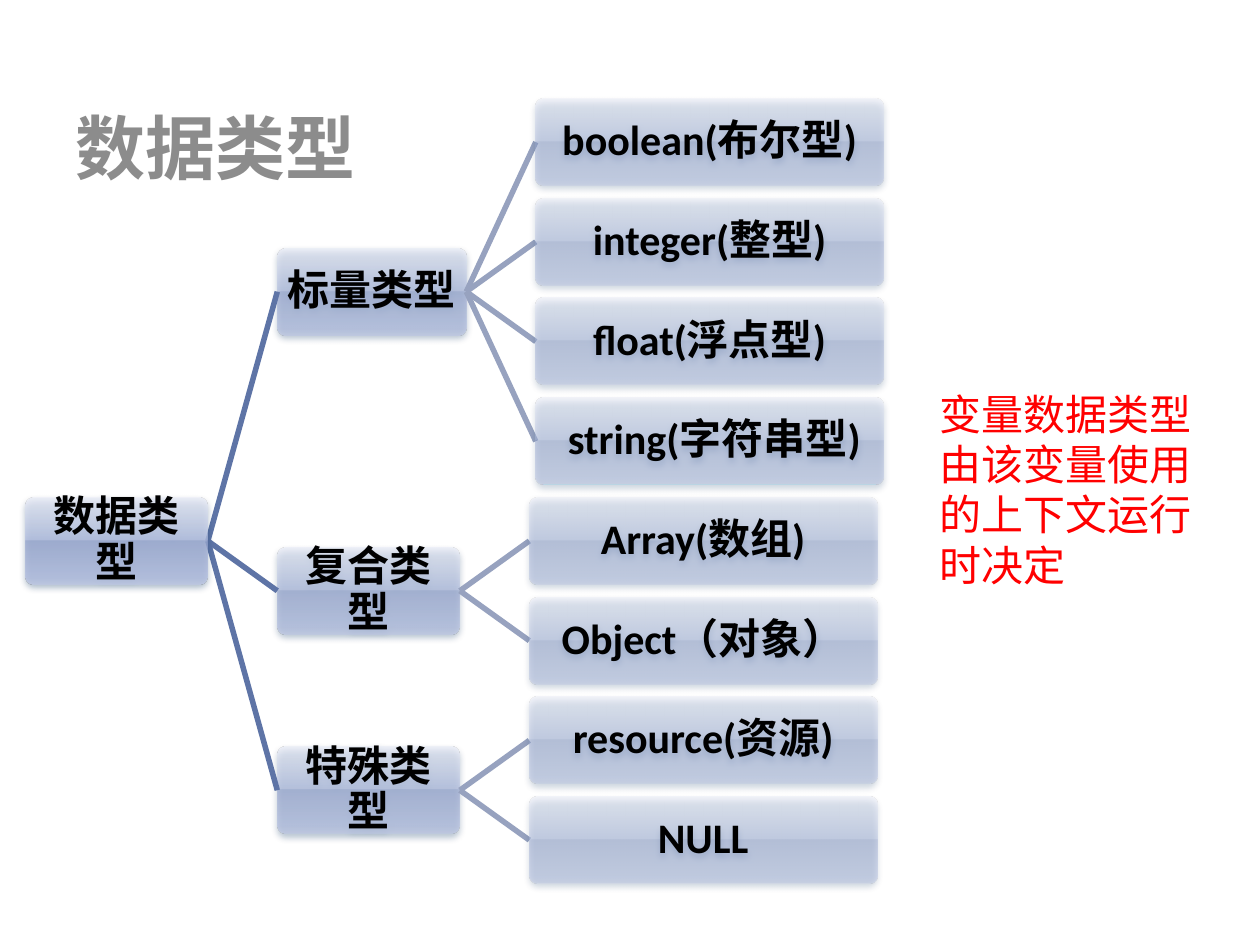
from lxml import etree
from pptx import Presentation
from pptx.dml.color import RGBColor
from pptx.enum.shapes import MSO_CONNECTOR, MSO_SHAPE
from pptx.enum.text import MSO_ANCHOR, PP_ALIGN
from pptx.oxml import parse_xml
from pptx.oxml.ns import nsdecls, qn
from pptx.util import Cm, Pt

ROUNDED = MSO_SHAPE.ROUNDED_RECTANGLE
STRAIGHT = MSO_CONNECTOR.STRAIGHT
MIDDLE, TOP = MSO_ANCHOR.MIDDLE, MSO_ANCHOR.TOP
CENTER, LEFT = PP_ALIGN.CENTER, PP_ALIGN.LEFT

COLORS = {
    "title": "8C8C8C",
    "note": "FF0000",
    "node": "000000",
    "shadow": "00305E",
    "root_line": "5E74A6",
    "leaf_line": "97A2BF",
}
GRADIENT = [(0, "EAEDF7"), (49, "B1BDDF"), (49, "99A7CF"), (92, "B1BDDF"), (100, "BFC8E3")]
FORMATS = {
    "title": {"name": "Calibri", "size": Pt(40), "bold": True},
    "node": {"name": "Calibri", "size": Pt(24), "bold": True},
    "note": {"name": "Calibri", "size": Pt(24), "bold": False},
}
OPACITY = {"root": 80, "branch": 70, "leaf": 50}

NODE_HEIGHT, ROW_PITCH, COLUMN_GAP = 1.75, 2.01, 1.4
ROOT_WIDTH, LEAF_WIDTH = 3.68, 7.01
ROOT = "数据类型"
BRANCHES = [
    ("标量类型", 3.81, ["boolean(布尔型)", "integer(整型)", "float(浮点型)", " string(字符串型)"]),
    ("复合类型", 3.68, ["Array(数组)", "Object（对象）"]),
    ("特殊类型", 3.68, ["resource(资源)", "NULL"]),
]


def write_text(shape, text, style, alignment, anchor):
    """Write one formatted paragraph into a shape."""
    frame = shape.text_frame
    frame.word_wrap = True
    frame.vertical_anchor = anchor
    paragraph = frame.paragraphs[0]
    paragraph.alignment = alignment
    run = paragraph.add_run()
    run.text = text
    for attribute, value in FORMATS[style].items():
        setattr(run.font, attribute, value)
    run.font.color.rgb = RGBColor.from_string(COLORS[style])
    return frame


def add_text(slide, box, text, style, anchor):
    """Add a left-aligned text box."""
    shape = slide.shapes.add_textbox(*map(Cm, box))
    write_text(shape, text, style, LEFT, anchor)


def add_glass(shape, opacity):
    """Give a shape the translucent gradient and soft shadow."""
    stops = "".join(
        f'<a:gs pos="{position * 1000}"><a:srgbClr val="{color}">'
        f'<a:alpha val="{opacity * 1000}"/></a:srgbClr></a:gs>'
        for position, color in GRADIENT
    )
    properties = shape._element.spPr
    properties.find(qn("a:prstGeom")).addnext(parse_xml(
        f'<a:gradFill {nsdecls("a")} rotWithShape="1"><a:gsLst>{stops}</a:gsLst>'
        '<a:lin ang="5400000" scaled="0"/></a:gradFill>'
    ))
    shape.line.fill.background()
    shape.shadow.inherit = False
    properties.find(qn("a:effectLst")).append(parse_xml(
        f'<a:outerShdw {nsdecls("a")} blurRad="{Pt(4)}" dist="{Pt(2)}" dir="5400000" '
        f'rotWithShape="0"><a:srgbClr val="{COLORS["shadow"]}">'
        '<a:alpha val="38000"/></a:srgbClr></a:outerShdw>'
    ))


def add_node(slide, left, middle, width, text, level):
    """Add a tree node centred on the given height."""
    box = (left, middle - NODE_HEIGHT / 2, width, NODE_HEIGHT)
    shape = slide.shapes.add_shape(ROUNDED, *map(Cm, box))
    shape.adjustments[0] = 0.1
    add_glass(shape, OPACITY[level])
    frame = write_text(shape, text, "node", CENTER, MIDDLE)
    frame.paragraphs[0].line_spacing = 0.9
    for side in ("left", "top", "right", "bottom"):
        setattr(frame, f"margin_{side}", Cm(0.1))


def add_link(slide, left, start, end, color):
    """Add a line across one column gap."""
    ends = (left, start, left + COLUMN_GAP, end)
    connector = slide.shapes.add_connector(STRAIGHT, *map(Cm, ends))
    connector.line.color.rgb = RGBColor.from_string(COLORS[color])
    connector.line.width = Pt(3.15)
    etree.SubElement(connector._element.spPr, qn("a:effectLst"))


def add_tree(slide, left, top):
    """Add the type hierarchy with each parent centred on its children."""
    branch_left = left + ROOT_WIDTH + COLUMN_GAP
    next_middle = top + NODE_HEIGHT / 2
    branch_middles = []
    for name, width, leaves in BRANCHES:
        middles = [next_middle + row * ROW_PITCH for row in range(len(leaves))]
        next_middle = middles[-1] + ROW_PITCH
        center = (middles[0] + middles[-1]) / 2
        branch_middles.append(center)
        branch_right = branch_left + width
        add_node(slide, branch_left, center, width, name, "branch")
        for leaf, middle in zip(leaves, middles):
            add_link(slide, branch_right, center, middle, "leaf_line")
            add_node(slide, branch_right + COLUMN_GAP, middle, LEAF_WIDTH, leaf, "leaf")
    root_middle = (branch_middles[0] + branch_middles[-1]) / 2
    for center in branch_middles:
        add_link(slide, left + ROOT_WIDTH, root_middle, center, "root_line")
    add_node(slide, left, root_middle, ROOT_WIDTH, ROOT, "root")


def main():
    """Build and save the slide."""
    presentation = Presentation()
    presentation.slide_width, presentation.slide_height = Cm(25.4), Cm(19.05)
    slide = presentation.slides.add_slide(presentation.slide_layouts[6])
    add_tree(slide, 0.51, 1.99)
    add_text(slide, (1.27, 1.98, 22.86, 1.96), "数据类型", "title", MIDDLE)
    add_text(slide, (18.7, 7.7, 6.2, 4.37), "变量数据类型由该变量使用的上下文运行时决定", "note", TOP)
    presentation.save("out.pptx")


if __name__ == "__main__":
    main()
